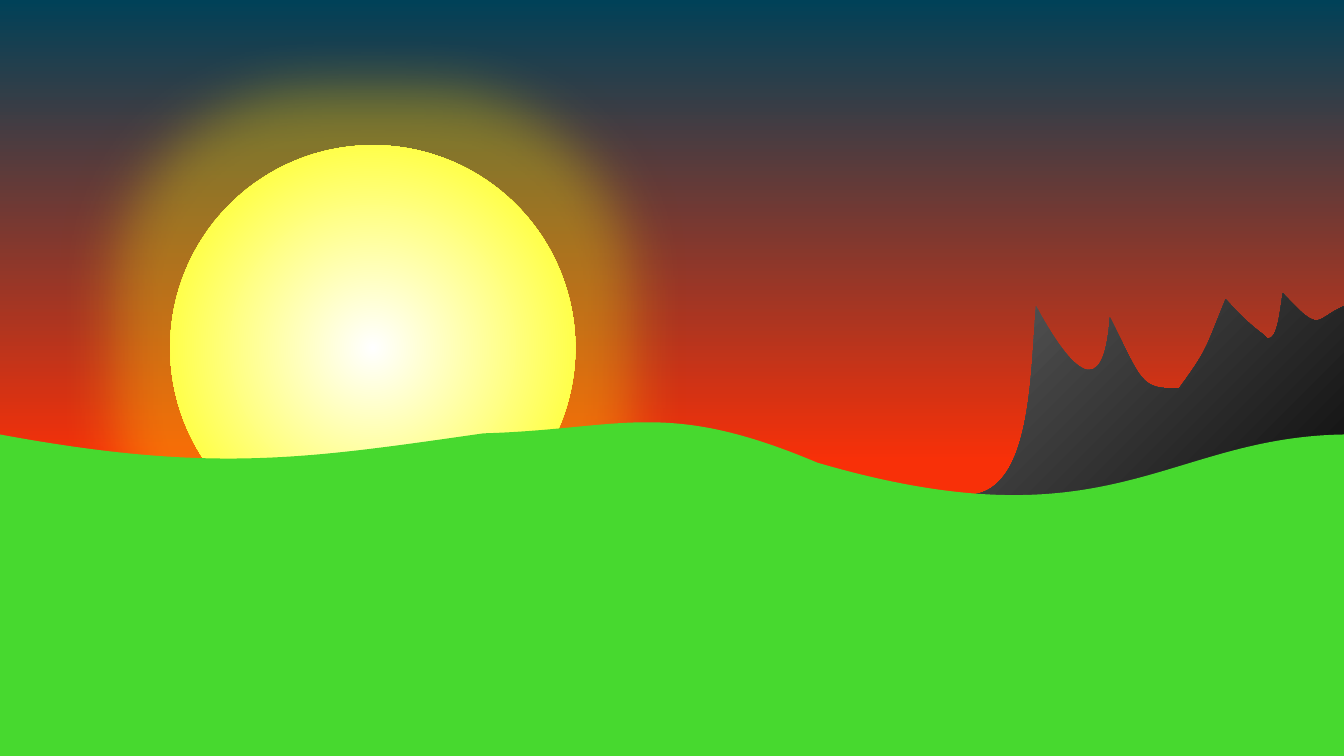
from lxml import etree
from pptx import Presentation
from pptx import util as u
from pptx.dml.color import RGBColor
from pptx.enum import shapes
from pptx.oxml import ns

HUES = {
    "dusk": "004158", "flame": "F83008",
    "core": "FFFFFF", "sun": "FFFF00",
    "slate": "595959", "coal": "0D0D0D",
    "grass": "47D92F",
}
WIDE, HIGH = 33.87, 19.05

PEAKS = [
    [(24.26, 12.47)],
    [(26.01, 12.6), (25.96, 9.5), (26.11, 7.72)],
    [(27.58, 10.44), (27.89, 9.12), (27.97, 8)],
    [(28.78, 9.6), (28.73, 9.83), (29.72, 9.78)],
    [(30.48, 8.74), (30.38, 8.76), (30.89, 7.54)],
    [(31.62, 8.36), (31.88, 8.41), (31.93, 8.53)],
    [(32.21, 8.59), (32.26, 7.77), (32.33, 7.39)],
    [(33.32, 8.46), (33.12, 8.03), (WIDE, 7.72)],
    [(WIDE, 12.9)],
    [(24.13, 12.9)],
    [(24.26, 12.47)],
]
HILLS = [
    [(0, 10.95)],
    [(5.36, 11.94), (7.7, 11.56), (12.19, 10.92)],
    [(15.7, 10.82), (16.74, 10.03), (20.6, 11.66)],
    [(27.99, 13.82), (29.34, 11.02), (WIDE, 10.95)],
    [(WIDE, HIGH)],
    [(0, HIGH)],
    [(0, 10.95)],
]


class Scene:
    def __init__(self, deck, hues):
        self.hues = hues
        self.slide = deck.slides.add_slide(deck.slide_layouts[6])

    def tint(self, name):
        return RGBColor.from_string(self.hues[name])

    def paint(self, shape, names, angle=0, end=1):
        shape.shadow.inherit = False
        shape.line.fill.background()
        if len(names) == 1:
            shape.fill.solid()
            shape.fill.fore_color.rgb = self.tint(names[0])
            return shape
        shape.fill.gradient()
        shape.fill.gradient_angle = angle
        for stop, name, place in zip(shape.fill.gradient_stops, names, (0, end)):
            stop.color.rgb = self.tint(name)
            stop.position = place
        return shape

    def form(self, kind, box, names, **style):
        shape = self.slide.shapes.add_shape(kind, *map(u.Cm, box))
        return self.paint(shape, names, **style)

    def land(self, box, moves, names, **style):
        left, top, width, height = map(u.Cm, box)
        right, base = left + width, top + height
        pen = self.slide.shapes.build_freeform(left, top)
        pen.add_line_segments([(right, top), (right, base), (left, base)])
        shape = pen.convert_to_shape()
        trail = shape._element.spPr.find(".//" + ns.qn("a:path"))
        for step in list(trail):
            trail.remove(step)
        for index, points in enumerate(moves):
            tag = "a:cubicBezTo" if len(points) == 3 else "a:lnTo"
            step = self.node(trail, tag if index else "a:moveTo")
            for x, y in points:
                self.node(step, "a:pt", x=u.Cm(x) - left, y=u.Cm(y) - top)
        self.node(trail, "a:close")
        return self.paint(shape, names, **style)

    def node(self, parent, tag, **values):
        child = etree.SubElement(parent, ns.qn(tag))
        for key, value in values.items():
            child.set(key, str(int(value) if isinstance(value, int) else value))
        return child

    def radiate(self, shape):
        grad = shape._element.spPr.find(ns.qn("a:gradFill"))
        grad.remove(grad.find(ns.qn("a:lin")))
        ring = self.node(grad, "a:path", path="circle")
        self.node(ring, "a:fillToRect", **dict.fromkeys("ltrb", 50000))

    def glow(self, shape, name, size, alpha):
        effects = shape._element.spPr.find(ns.qn("a:effectLst"))
        halo = self.node(effects, "a:glow", rad=u.Cm(size))
        hue = self.node(halo, "a:srgbClr", val=self.hues[name])
        self.node(hue, "a:alpha", val=alpha * 1000)


def main():
    deck = Presentation()
    size = {"slide_width": WIDE, "slide_height": HIGH}
    for key, value in size.items():
        setattr(deck, key, u.Cm(value))

    scene = Scene(deck, HUES)
    kinds = shapes.MSO_SHAPE
    scene.form(kinds.RECTANGLE, (0, 0, WIDE, HIGH), ["dusk", "flame"], angle=270, end=0.61)
    sun = scene.form(kinds.OVAL, (4.29, 3.66, 10.21, 10.21), ["core", "sun"])
    scene.radiate(sun)
    scene.glow(sun, "sun", 2.82, 30)
    scene.land((24.13, 7.39, 9.74, 5.51), PEAKS, ["slate", "coal"], angle=315)
    scene.land((0, 10.64, WIDE, 8.41), HILLS, ["grass"])
    deck.save("out.pptx")


if __name__ == "__main__":
    main()
